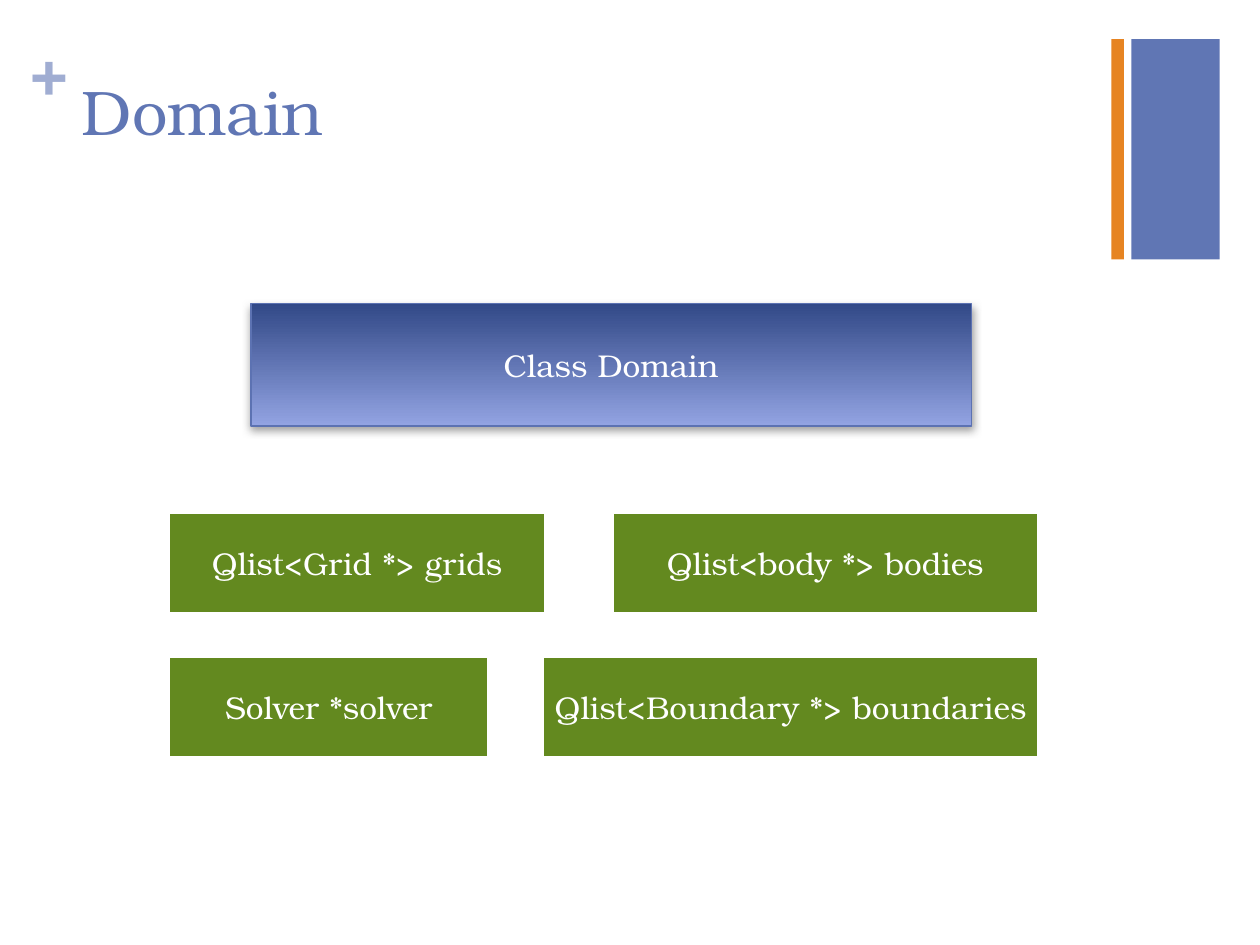
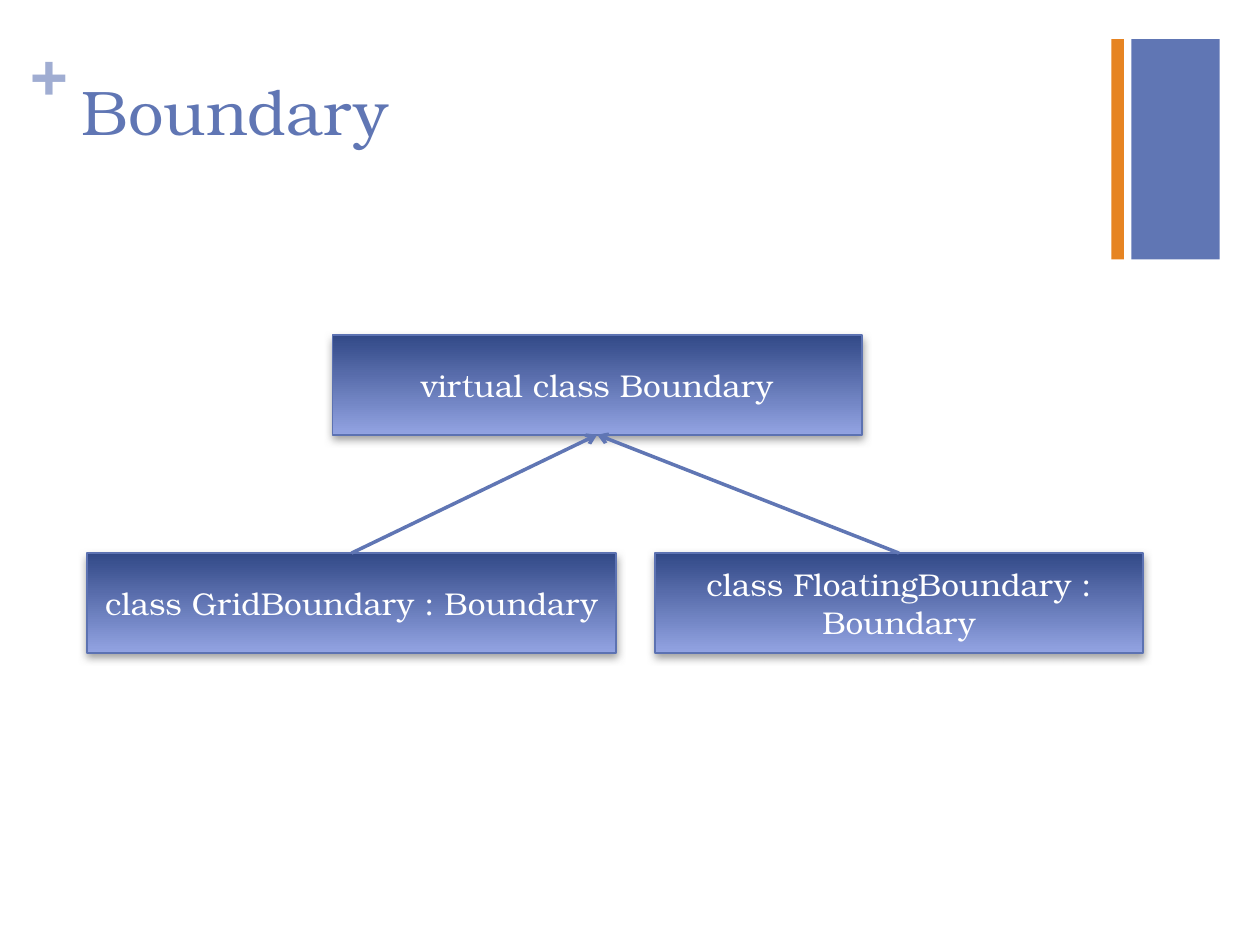
from lxml.etree import SubElement
from pptx import Presentation
from pptx.dml.color import RGBColor
from pptx.enum.shapes import MSO_CONNECTOR as Connector, MSO_SHAPE as Shape
from pptx.enum.text import MSO_ANCHOR as Anchor, PP_ALIGN as Align
from pptx.oxml.ns import qn
from pptx.util import Inches, Pt

FONT = "TeX Gyre Bonum"
BLUE = RGBColor(0x60, 0x76, 0xB4)
PALE_BLUE = RGBColor(0xA0, 0xAD, 0xD2)
ORANGE = RGBColor(0xE6, 0x84, 0x22)
GREEN = RGBColor(0x63, 0x89, 0x1F)
WHITE = RGBColor(0xFF, 0xFF, 0xFF)
OUTLINE = RGBColor(0x5C, 0x72, 0xB2)
GRADIENT = (RGBColor(0x32, 0x49, 0x87), RGBColor(0x92, 0xA3, 0xE2))
SHADOW = RGBColor(0x80, 0x80, 0x80)

TOP, BOTTOM = 0, 2


def write(shape, text, size, color, bold=False):
    frame = shape.text_frame
    frame.word_wrap = True
    frame.text = text
    font = frame.paragraphs[0].runs[0].font
    font.name, font.size, font.bold = FONT, Pt(size), bold
    font.color.rgb = color


def add_text(slide, text, left, top, width, height, color, bold=False, margin=None):
    box = slide.shapes.add_textbox(Inches(left), Inches(top), Inches(width), Inches(height))
    write(box, text, 36, color, bold)
    if margin is not None:
        frame = box.text_frame
        frame.margin_left = frame.margin_right = Inches(margin)
        frame.margin_top = frame.margin_bottom = Inches(margin)


def add_rectangle(slide, left, top, width, height):
    box = slide.shapes.add_shape(
        Shape.RECTANGLE, Inches(left), Inches(top), Inches(width), Inches(height))
    box.shadow.inherit = False
    return box


def add_band(slide, left, width, color):
    band = add_rectangle(slide, left, 0.31, width, 1.75)
    band.fill.solid()
    band.fill.fore_color.rgb = color
    band.line.fill.background()


def add_label(box, text):
    write(box, text, 18, WHITE)
    box.text_frame.vertical_anchor = Anchor.MIDDLE
    box.text_frame.paragraphs[0].alignment = Align.CENTER


def set_line(shape, color, width):
    shape.line.color.rgb = color
    shape.line.width = Pt(width)


def add_drop_shadow(shape):
    effects = shape._element.spPr.find(qn("a:effectLst"))
    shadow = SubElement(effects, qn("a:outerShdw"), blurRad=str(Pt(5)), dist=str(Pt(2)),
                        dir="5400000", rotWithShape="0")
    color = SubElement(shadow, qn("a:srgbClr"), val=str(SHADOW))
    SubElement(color, qn("a:alpha"), val="75000")


def add_class_box(slide, text, left, top, width, height=0.79):
    box = add_rectangle(slide, left, top, width, height)
    box.fill.gradient()
    box.fill.gradient_angle = 270
    for stop, color in zip(box.fill.gradient_stops, GRADIENT):
        stop.color.rgb = color
    set_line(box, OUTLINE, 1)
    add_drop_shadow(box)
    add_label(box, text)
    return box


def add_member_box(slide, text, left, top, width):
    box = add_rectangle(slide, left, top, width, 0.82)
    box.fill.solid()
    box.fill.fore_color.rgb = GREEN
    set_line(box, WHITE, 3)
    add_label(box, text)
    box.text_frame.margin_left = box.text_frame.margin_right = Inches(0.05)


def add_inheritance_arrow(slide, child, parent):
    arrow = slide.shapes.add_connector(Connector.STRAIGHT, 0, 0, 0, 0)
    arrow.begin_connect(child, TOP)
    arrow.end_connect(parent, BOTTOM)
    set_line(arrow, BLUE, 2)
    SubElement(arrow.line._get_or_add_ln(), qn("a:tailEnd"), type="arrow")
    SubElement(arrow._element.spPr, qn("a:effectLst"))


def add_page(deck, title):
    slide = deck.slides.add_slide(deck.slide_layouts[6])
    add_band(slide, 8.98, 0.7, BLUE)
    add_text(slide, "+", 0.24, 0.25, 0.29, 0.61, PALE_BLUE, bold=True, margin=0)
    add_band(slide, 8.82, 0.1, ORANGE)
    add_text(slide, title, 0.55, 0.53, 8.26, 1.22, BLUE)
    return slide


def add_domain_page(deck):
    slide = add_page(deck, "Domain")
    add_class_box(slide, "Class Domain", 1.99, 2.41, 5.72, 0.97)
    left, right = 1.33, 8.25
    rows = [
        (4.06, ("Qlist<Grid *> grids", 3.01), ("Qlist<body *> bodies", 3.4)),
        (5.2, ("Solver *solver", 2.56), ("Qlist<Boundary *> boundaries", 3.95)),
    ]
    for top, (first, first_width), (second, second_width) in rows:
        add_member_box(slide, first, left, top, first_width)
        add_member_box(slide, second, right - second_width, top, second_width)


def add_boundary_page(deck):
    slide = add_page(deck, "Boundary")
    parent = add_class_box(slide, "virtual class Boundary", 2.64, 2.66, 4.2)
    children = [
        add_class_box(slide, "class GridBoundary : Boundary", 0.69, 4.39, 4.2),
        add_class_box(slide, "class FloatingBoundary : Boundary", 5.2, 4.39, 3.87),
    ]
    for child in children:
        add_inheritance_arrow(slide, child, parent)


def main():
    deck = Presentation()
    deck.slide_width, deck.slide_height = Inches(10), Inches(7.5)
    add_domain_page(deck)
    add_boundary_page(deck)
    deck.save("out.pptx")


main()
